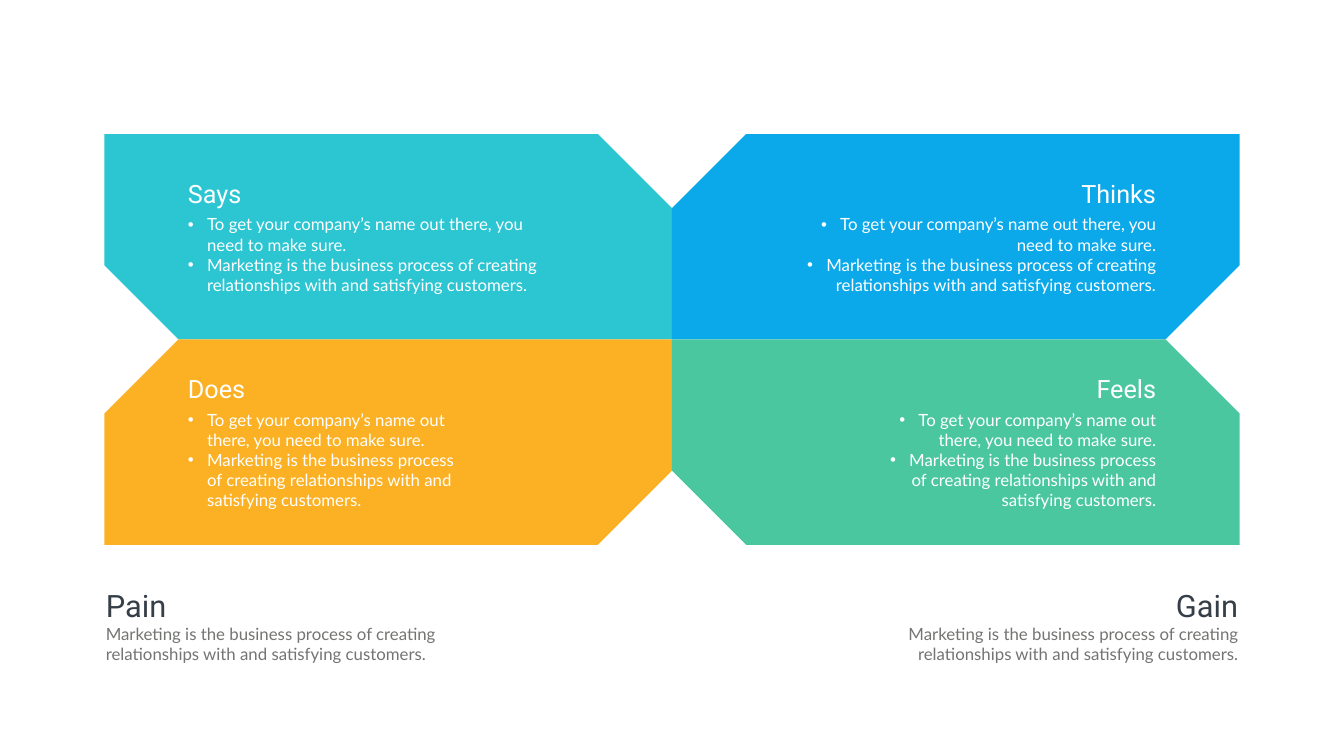
import pptx
import pptx.util
import pptx.dml.color
import pptx.enum.shapes
import pptx.enum.text
from lxml import etree

Inches = pptx.util.Inches
RGB = pptx.dml.color.RGBColor
ALIGN = pptx.enum.text.PP_ALIGN
SNIP = pptx.enum.shapes.MSO_SHAPE.SNIP_2_DIAG_RECTANGLE

WHITE = RGB(0xFF, 0xFF, 0xFF)
TEAL = RGB(0x2C, 0xC5, 0xD2)
BLUE = RGB(0x0B, 0xA9, 0xE9)
AMBER = RGB(0xFB, 0xB1, 0x23)
GREEN = RGB(0x4B, 0xC7, 0x9F)
DARK = RGB(0x36, 0x3E, 0x48)
GRAY = RGB(0x73, 0x75, 0x72)

NAME = "To get your company’s name out there, you need to make sure."
MARKET = ("Marketing is the business process of creating "
          "relationships with and satisfying customers.")

LEFT, TOP = 2.07, 2.66
CARD_W, CARD_H = 11.26, 4.075
CUT = 0.361
PAD = 1.56
HEAD_W, HEAD_H = 3.26, 0.71


def add_bullet(para):
    props = para._p.get_or_add_pPr()
    props.set("marL", str(Inches(0.38)))
    props.set("indent", str(-Inches(0.38)))
    space = pptx.oxml.ns.qn
    etree.SubElement(props, space("a:buFont")).set("typeface", "Arial")
    etree.SubElement(props, space("a:buChar")).set("char", "•")


def add_text(slide, box, lines, size=24, font="Lato", color=WHITE,
             right=False, bullet=False):
    shape = slide.shapes.add_textbox(*map(Inches, box))
    frame = shape.text_frame
    frame.word_wrap = True
    frame.auto_size = pptx.enum.text.MSO_AUTO_SIZE.SHAPE_TO_FIT_TEXT
    for i, line in enumerate(lines):
        para = frame.paragraphs[0] if i == 0 else frame.add_paragraph()
        para.alignment = ALIGN.RIGHT if right else ALIGN.LEFT
        if bullet:
            add_bullet(para)
        run = para.add_run()
        run.text = line
        run.font.size = pptx.util.Pt(size)
        run.font.name = font
        run.font.color.rgb = color


def inset(box, pad, width, drop, height, right):
    """Return a box set in from the outer side of the given box."""
    x, y, w, _ = box
    left = x + w - pad - width if right else x + pad
    return left, y + drop, width, height


def add_card(slide, box, title, fill, right, drop, width, height, swap):
    """Draw a card; swap moves the cut corners to the other diagonal."""
    shape = slide.shapes.add_shape(SNIP, *map(Inches, box))
    shape.shadow.inherit = False
    shape.fill.solid()
    shape.fill.fore_color.rgb = fill
    shape.line.fill.background()
    shape.adjustments[0] = CUT if swap else 0
    shape.adjustments[1] = 0 if swap else CUT
    add_text(slide, inset(box, PAD, width, drop + HEAD_H, height, right),
             [NAME, MARKET], right=right, bullet=True)
    add_text(slide, inset(box, PAD, HEAD_W, drop, HEAD_H, right),
             [title], size=36, font="Roboto", right=right)


def add_note(slide, box, title, right, width):
    add_text(slide, inset(box, 0, 3.5, 0, 0.84, right), [title],
             size=44, font="Roboto", color=DARK, right=right)
    add_text(slide, inset(box, 0, width, 0.72, 0.91, right), [MARKET],
             color=GRAY, right=right)


def main():
    deck = pptx.Presentation()
    deck.slide_width, deck.slide_height = Inches(26.66), Inches(15)
    slide = deck.slides.add_slide(deck.slide_layouts[6])

    cards = [
        # title, fill, column, row, text width
        ("Says", TEAL, 0, 0, 7.24),
        ("Thinks", BLUE, 1, 0, 7.24),
        ("Does", AMBER, 0, 1, 5.57),
        ("Feels", GREEN, 1, 1, 5.72),
    ]
    for title, fill, col, row, width in cards:
        box = (LEFT + col * CARD_W, TOP + row * CARD_H, CARD_W, CARD_H)
        add_card(slide, box, title, fill, right=col == 1,
                 drop=(0.83, 0.63)[row], width=width,
                 height=(1.72, 2.12)[row], swap=col != row)

    foot = (2, 11.6, 22.66, 1.63)
    add_note(slide, foot, "Pain", right=False, width=7.3)
    add_note(slide, foot, "Gain", right=True, width=7.03)
    deck.save("out.pptx")


if __name__ == "__main__":
    main()
